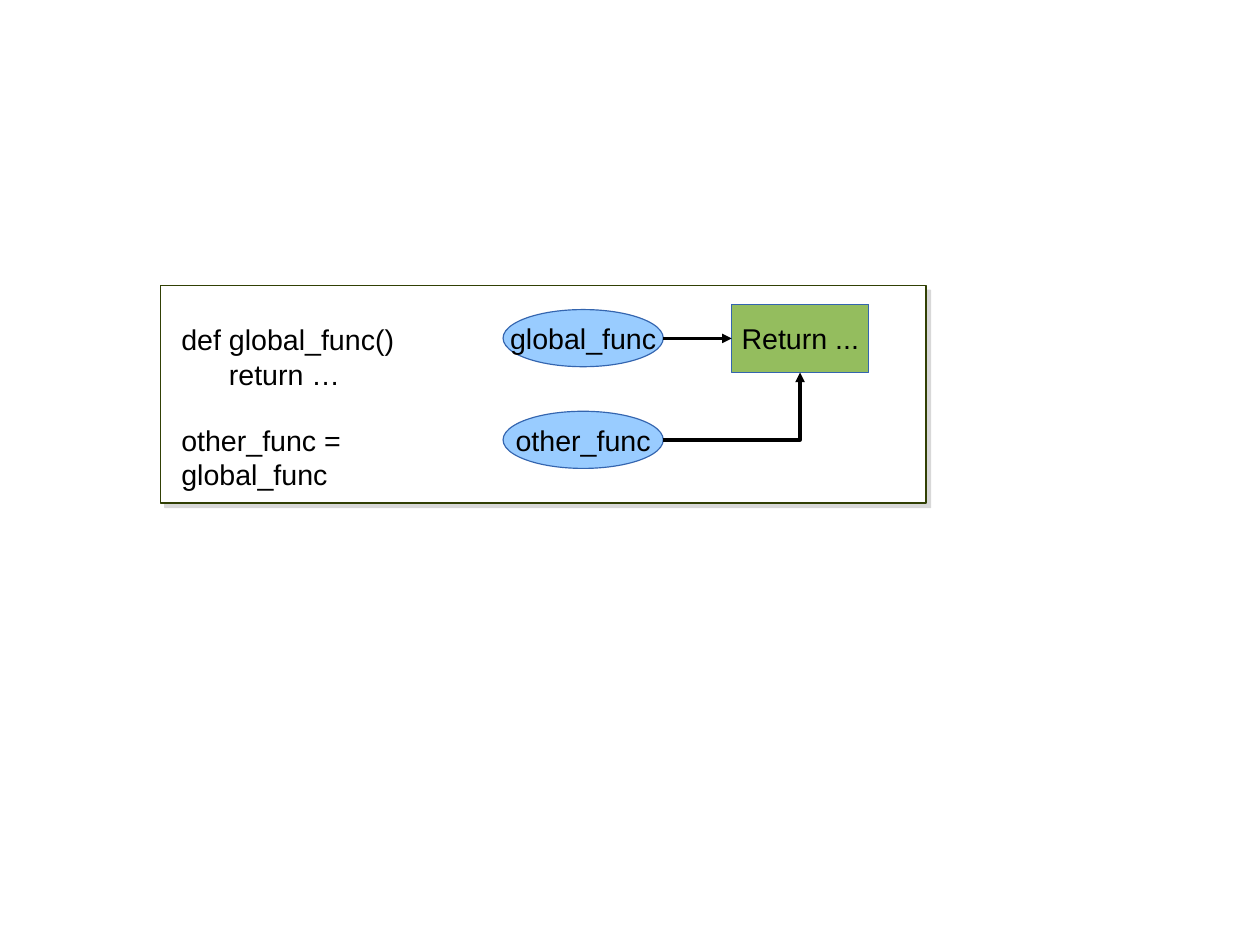
from lxml import etree
from pptx import Presentation
from pptx.dml.color import RGBColor
from pptx.enum import shapes, text
from pptx.oxml import parse_xml
from pptx.oxml.ns import qn
from pptx.util import Cm, Pt

WHITE = RGBColor(0xFF, 0xFF, 0xFF)
BLACK = RGBColor(0x00, 0x00, 0x00)
OLIVE = RGBColor(0x31, 0x40, 0x04)
SKY = RGBColor(0x99, 0xCC, 0xFF)
GREEN = RGBColor(0x94, 0xBD, 0x5E)
BLUE = RGBColor(0x34, 0x65, 0xAF)

RECT = shapes.MSO_SHAPE.RECTANGLE
OVAL = shapes.MSO_SHAPE.OVAL
SHADOW = (
    '<a:effectLst xmlns:a="http://schemas.openxmlformats.org/drawingml/2006/main">'
    '<a:outerShdw blurRad="0" dist="52070" dir="2700000" algn="tl" rotWithShape="0">'
    '<a:srgbClr val="808080"><a:alpha val="30000"/></a:srgbClr>'
    '</a:outerShdw></a:effectLst>'
)


def write(frame, lines, align):
    frame.word_wrap = False
    for i, line in enumerate(lines):
        para = frame.paragraphs[0] if i == 0 else frame.add_paragraph()
        para.alignment = align
        run = para.add_run()
        run.text = line
        run.font.name = "Arial"
        run.font.size = Pt(18)
        run.font.color.rgb = BLACK


def add_box(slide, kind, left, top, width, height, fill, edge, weight=0):
    box = slide.shapes.add_shape(kind, Cm(left), Cm(top), Cm(width), Cm(height))
    box.shadow.inherit = False
    box.fill.solid()
    box.fill.fore_color.rgb = fill
    box.line.color.rgb = edge
    box.line.width = Pt(weight)
    return box


def add_panel(slide):
    panel = add_box(slide, RECT, 3.56, 6.35, 17.02, 4.83, WHITE, OLIVE, 0.71)
    props = panel.element.spPr
    props.replace(props.find(qn("a:effectLst")), parse_xml(SHADOW))


def add_node(slide, kind, left, top, width, height, fill, label):
    node = add_box(slide, kind, left, top, width, height, fill, BLUE)
    node.text_frame.vertical_anchor = text.MSO_ANCHOR.MIDDLE
    write(node.text_frame, [label], text.PP_ALIGN.CENTER)


def add_code(slide, top, width, height, lines):
    box = slide.shapes.add_textbox(Cm(3.78), Cm(top), Cm(width), Cm(height))
    write(box.text_frame, lines, text.PP_ALIGN.LEFT)


def add_arrow(slide, kind, start, end):
    arrow = slide.shapes.add_connector(kind, *map(Cm, start + end))
    arrow.line.color.rgb = BLACK
    arrow.line.width = Pt(0)
    props = arrow.element.spPr
    if kind == shapes.MSO_CONNECTOR.ELBOW:
        props.find(qn("a:prstGeom")).set("prst", "bentConnector2")
    etree.SubElement(arrow.line._get_or_add_ln(), qn("a:tailEnd"), type="triangle")
    etree.SubElement(props, qn("a:effectLst"))


def main():
    deck = Presentation()
    deck.slide_width, deck.slide_height = Cm(28), Cm(21)
    slide = deck.slides.add_slide(deck.slide_layouts[6])

    add_panel(slide)
    add_code(slide, 7.04, 5.23, 1.68, ["def global_func()", "      return …"])
    add_code(slide, 9.27, 7.47, 0.97, ["other_func = global_func"])

    for top, name in ((6.88, "global_func"), (9.14, "other_func")):
        add_node(slide, OVAL, 11.18, top, 3.56, 1.27, SKY, name)
    add_node(slide, RECT, 16.26, 6.76, 3.05, 1.52, GREEN, "Return ...")

    add_arrow(slide, shapes.MSO_CONNECTOR.STRAIGHT, (14.74, 7.52), (16.26, 7.52))
    add_arrow(slide, shapes.MSO_CONNECTOR.ELBOW, (14.74, 9.78), (17.78, 8.28))

    deck.save("out.pptx")


if __name__ == "__main__":
    main()
